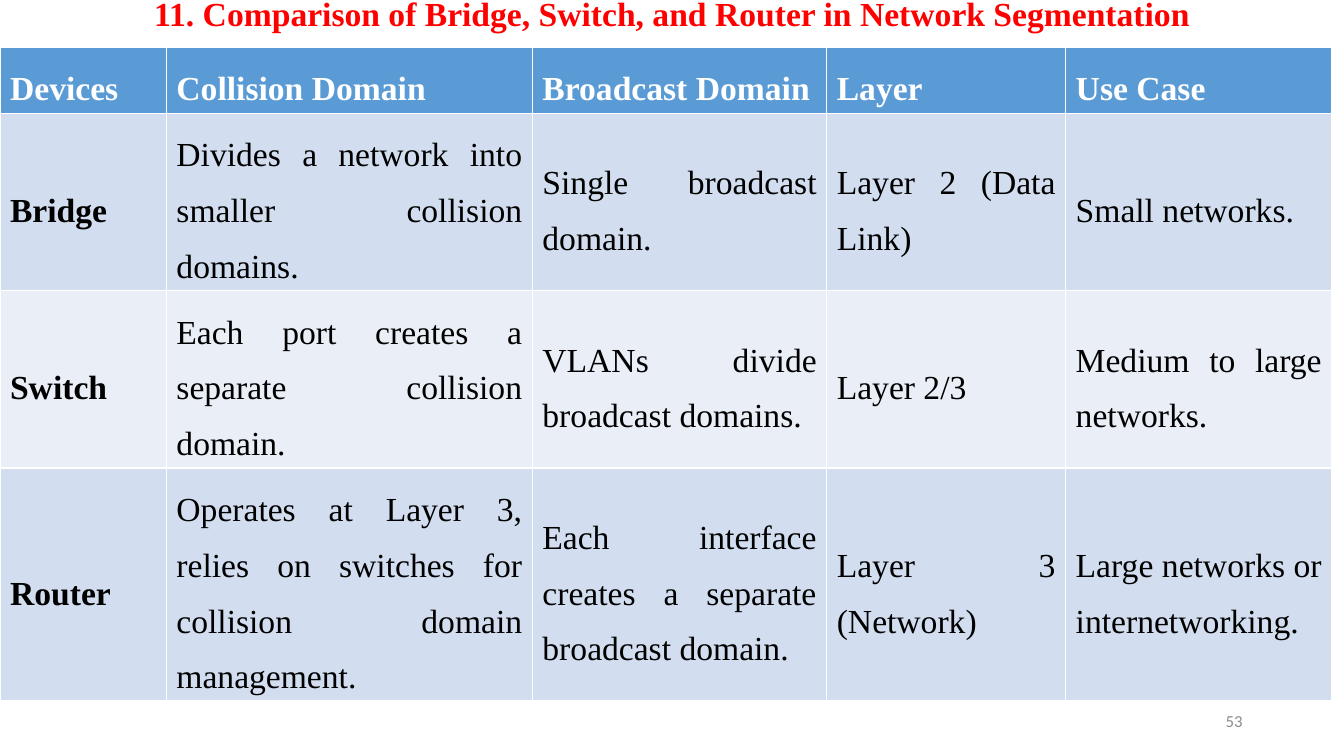
from dataclasses import dataclass

from pptx import Presentation
from pptx.dml.color import RGBColor
from pptx.enum.text import MSO_ANCHOR, MSO_AUTO_SIZE, PP_ALIGN
from pptx.util import Emu, Inches, Pt

RED = RGBColor(0xFF, 0x00, 0x00)
WHITE = RGBColor(0xFF, 0xFF, 0xFF)
BLACK = RGBColor(0x00, 0x00, 0x00)
GREY = RGBColor(0x8C, 0x8C, 0x8C)
HEADER_BLUE = RGBColor(0x5B, 0x9B, 0xD5)
BAND_DARK = RGBColor(0xD2, 0xDE, 0xEF)
BAND_LIGHT = RGBColor(0xEA, 0xEF, 0xF7)

SERIF = "Times New Roman"
SLIDE_WIDTH = Inches(13.33)
SLIDE_HEIGHT = Inches(7.5)
TABLE_TOP = Inches(0.47)
COLUMNS = [Inches(w) for w in (1.65, 3.63, 2.92, 2.37, 2.64)]
ROWS = [Inches(h) for h in (0.65, 1.76, 1.76, 2.31)]


@dataclass(frozen=True)
class TextStyle:
    size: int
    color: RGBColor
    font: str = SERIF
    bold: bool = False
    align: PP_ALIGN = PP_ALIGN.JUSTIFY
    line_spacing: float = 1.0


@dataclass(frozen=True)
class Device:
    name: str
    collision_domain: str
    broadcast_domain: str
    layer: str
    use_case: str

    def entries(self) -> list[str]:
        return [self.name, self.collision_domain, self.broadcast_domain,
                self.layer, self.use_case]


TITLE = TextStyle(24, RED, bold=True, align=PP_ALIGN.CENTER, line_spacing=0.9)
HEADING = TextStyle(24, WHITE, bold=True, line_spacing=1.5)
DEVICE_NAME = TextStyle(24, BLACK, bold=True, line_spacing=1.5)
DETAIL = TextStyle(24, BLACK, line_spacing=1.5)
PAGE_NUMBER = TextStyle(12, GREY, font="Calibri", align=PP_ALIGN.RIGHT)

HEADINGS = Device("Devices", "Collision Domain", "Broadcast Domain", "Layer", "Use Case")
DEVICES = [
    Device("Bridge", "Divides a network into smaller collision domains.",
           "Single broadcast domain.", "Layer 2 (Data Link)", "Small networks."),
    Device("Switch", "Each port creates a separate collision domain.",
           "VLANs divide broadcast domains.", "Layer 2/3", "Medium to large networks."),
    Device("Router",
           "Operates at Layer 3, relies on switches for collision domain management.",
           "Each interface creates a separate broadcast domain.",
           "Layer 3 (Network)", "Large networks or internetworking."),
]


def write(frame, text: str, style: TextStyle) -> None:
    frame.word_wrap = True
    paragraph = frame.paragraphs[0]
    paragraph.alignment = style.align
    paragraph.line_spacing = style.line_spacing
    run = paragraph.add_run()
    run.text = text
    run.font.name = style.font
    run.font.size = Pt(style.size)
    run.font.bold = style.bold
    run.font.color.rgb = style.color


def place(shape, left: float, top: float, width: float, height: float) -> None:
    """Position a shape by shares of the slide's size."""
    shape.left, shape.width = (Emu(int(SLIDE_WIDTH * x)) for x in (left, width))
    shape.top, shape.height = (Emu(int(SLIDE_HEIGHT * y)) for y in (top, height))


def add_title(slide) -> None:
    title = slide.shapes.title
    place(title, 0.07, 0, 0.86, 0.04)
    frame = title.text_frame
    frame.auto_size = MSO_AUTO_SIZE.NONE
    frame.vertical_anchor = MSO_ANCHOR.MIDDLE
    frame.margin_top = frame.margin_bottom = 0
    write(frame, "11. Comparison of Bridge, Switch, and Router in Network Segmentation", TITLE)


def add_comparison(slide) -> None:
    table = slide.shapes.add_table(len(ROWS), len(COLUMNS), 0, TABLE_TOP,
                                   sum(COLUMNS), sum(ROWS)).table
    for column, width in zip(table.columns, COLUMNS):
        column.width = width
    for row, height in zip(table.rows, ROWS):
        row.height = height

    for r, device in enumerate([HEADINGS, *DEVICES]):
        is_header = r == 0
        band = HEADER_BLUE if is_header else BAND_DARK if r % 2 else BAND_LIGHT
        for c, entry in enumerate(device.entries()):
            cell = table.cell(r, c)
            cell.fill.solid()
            cell.fill.fore_color.rgb = band
            cell.vertical_anchor = MSO_ANCHOR.TOP if is_header else MSO_ANCHOR.MIDDLE
            style = HEADING if is_header else DETAIL if c else DEVICE_NAME
            write(cell.text_frame, entry, style)


def add_page_number(slide) -> None:
    number = slide.shapes.add_textbox(0, 0, 0, 0)
    place(number, 0.707, 0.927, 0.225, 0.053)
    number.text_frame.vertical_anchor = MSO_ANCHOR.MIDDLE
    write(number.text_frame, "53", PAGE_NUMBER)


def main() -> None:
    deck = Presentation()
    deck.slide_width, deck.slide_height = SLIDE_WIDTH, SLIDE_HEIGHT
    slide = deck.slides.add_slide(deck.slide_layouts[5])  # Title Only
    add_title(slide)
    add_comparison(slide)
    add_page_number(slide)
    deck.save("out.pptx")


if __name__ == "__main__":
    main()
